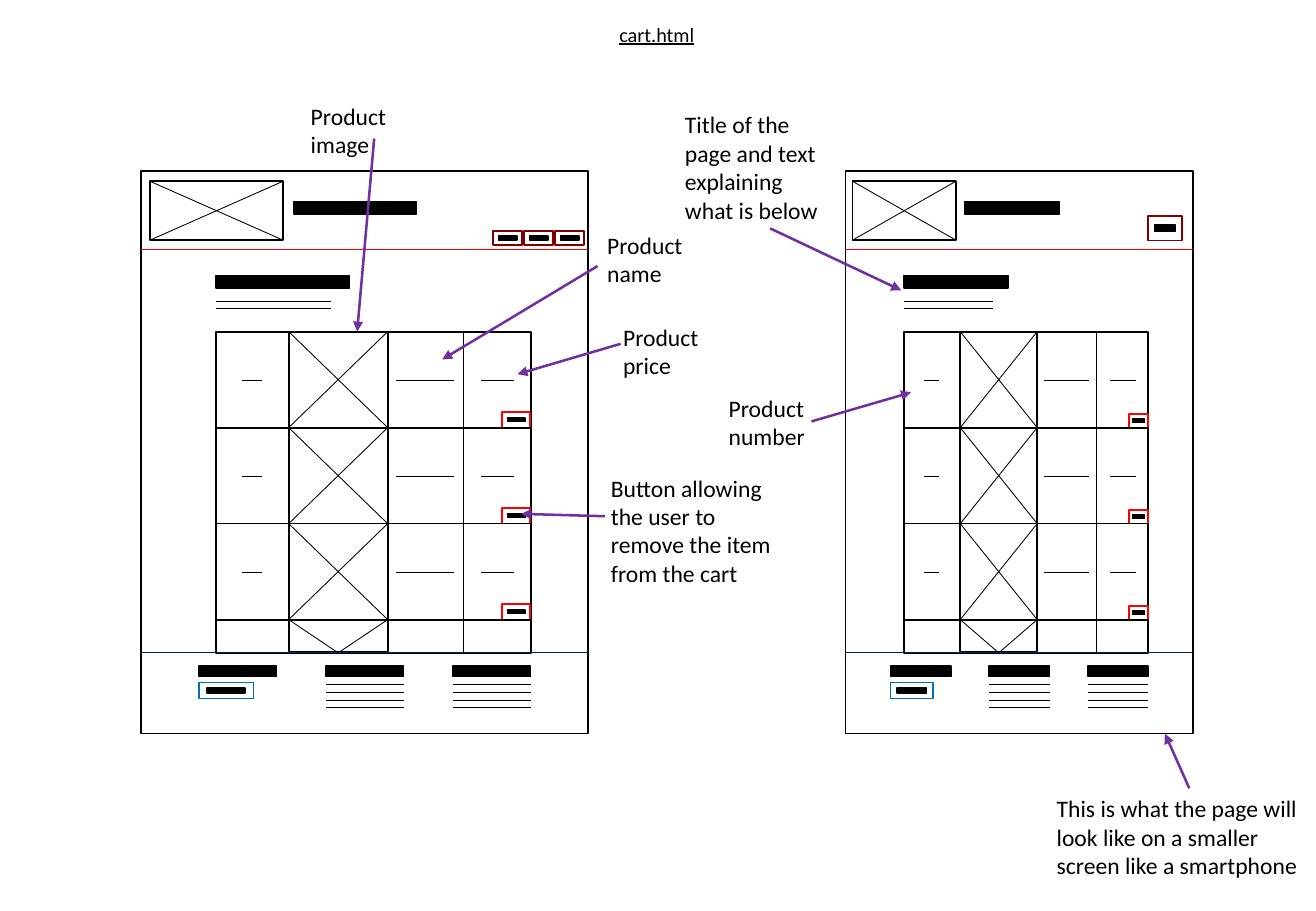
import dataclasses
import typing

import lxml.etree
import pptx
import pptx.dml.color
import pptx.enum.shapes
import pptx.enum.text
import pptx.oxml.ns
import pptx.util

Pt = pptx.util.Pt
COLOURS = {"ink": "000000", "header": "FF0000", "footer": "002060", "nav": "800000",
           "remove": "FF0000", "social": "0070C0", "arrow": "7030A0"}
FONT = "Calibri"
THIN, OUTLINE, ARROW = 0.5, 1, 1.5

# Vertical layout shared by both pages
PAGE_TOP, PAGE_HEIGHT = 101.5, 333.4
HEADER_RULE, FOOTER_RULE = 147.6, 387
LOGO_TOP, LOGO_HEIGHT = 107.5, 34.8
CART_TOP, ROW_HEIGHT, ROW_COUNT = 196.6, 56.9, 3
FOOTER_TOP = 394.6

# Horizontal layout, measured from the left edge of the wide page
WIDE_WIDTH = 265
CART_LEFT, CART_WIDTH = 44.6, 186.5
IMAGE_LEFT, IMAGE_WIDTH = 87.6, 58.7
PRICE_LEFT = 191.2
DASHES = [(60.1, 71.5), (151.2, 185.8), (201.6, 221.4)]
FOOTER_LEFT, FOOTER_PITCH, FOOTER_WIDTH = 34.4, 75.3, 46


@dataclasses.dataclass(frozen=True)
class Button:
    left: float
    top: float
    width: float
    height: float
    inset_x: float
    inset_y: float
    colour: str


@dataclasses.dataclass(frozen=True)
class Page:
    left: float
    width: float
    nav_buttons: list[Button]
    remove_button: Button

    def x(self, offset: float) -> float:
        return self.left + offset * self.width / WIDE_WIDTH


@dataclasses.dataclass(frozen=True)
class Note:
    text: str
    left: float
    top: float
    width: float
    height: float
    start: tuple[float, float]
    end: tuple[float, float]


def rgb(name: str) -> pptx.dml.color.RGBColor:
    return pptx.dml.color.RGBColor.from_string(COLOURS[name])


def draw_box(shapes: typing.Any, left: float, top: float, width: float, height: float,
             colour: str = "ink", filled: bool = False) -> None:
    box = shapes.add_shape(pptx.enum.shapes.MSO_SHAPE.RECTANGLE,
                           Pt(left), Pt(top), Pt(width), Pt(height))
    box.shadow.inherit = False
    if filled:
        box.fill.solid()
        box.fill.fore_color.rgb = rgb(colour)
    else:
        box.fill.background()
    box.line.color.rgb = rgb(colour)
    box.line.width = Pt(OUTLINE)


def draw_line(shapes: typing.Any, start: tuple[float, float], end: tuple[float, float],
              colour: str = "ink", weight: float = THIN, arrow: bool = False) -> None:
    line = shapes.add_connector(pptx.enum.shapes.MSO_CONNECTOR.STRAIGHT,
                                Pt(start[0]), Pt(start[1]), Pt(end[0]), Pt(end[1]))
    line.line.color.rgb = rgb(colour)
    line.line.width = Pt(weight)
    properties = line._element.spPr
    if arrow:
        outline = properties.find(pptx.oxml.ns.qn("a:ln"))
        lxml.etree.SubElement(outline, pptx.oxml.ns.qn("a:tailEnd"), type="triangle")
    lxml.etree.SubElement(properties, pptx.oxml.ns.qn("a:effectLst"))


def draw_crossed_box(shapes: typing.Any, left: float, top: float,
                     width: float, height: float) -> None:
    draw_box(shapes, left, top, width, height)
    draw_line(shapes, (left, top), (left + width, top + height))
    draw_line(shapes, (left, top + height), (left + width, top))


def draw_button(shapes: typing.Any, button: Button, drop: float = 0) -> None:
    top = button.top + drop
    draw_box(shapes, button.left, top, button.width, button.height, button.colour)
    draw_box(shapes, button.left + button.inset_x, top + button.inset_y,
             button.width - 2 * button.inset_x, button.height - 2 * button.inset_y,
             filled=True)


def draw_text(shapes: typing.Any, text: str, left: float, top: float, width: float,
              height: float, size: float = 14, underline: bool = False) -> None:
    frame = shapes.add_textbox(Pt(left), Pt(top), Pt(width), Pt(height)).text_frame
    frame.word_wrap = True
    frame.auto_size = pptx.enum.text.MSO_AUTO_SIZE.SHAPE_TO_FIT_TEXT
    run = frame.paragraphs[0].add_run()
    run.text = text
    run.font.name = FONT
    run.font.size = Pt(size)
    run.font.color.rgb = rgb("ink")
    if underline:
        run.font.underline = True


def draw_page(shapes: typing.Any, page: Page) -> None:
    x, scale = page.x, page.width / WIDE_WIDTH
    right = page.left + page.width
    image_left, image_width = x(IMAGE_LEFT), IMAGE_WIDTH * scale

    # Frame and header
    draw_box(shapes, page.left, PAGE_TOP, page.width, PAGE_HEIGHT)
    draw_line(shapes, (page.left, HEADER_RULE), (right, HEADER_RULE), "header")
    draw_crossed_box(shapes, x(5.5), LOGO_TOP, 78.7 * scale, LOGO_HEIGHT)
    draw_box(shapes, x(90.7), 119.5, 72.7 * scale, 7.2, filled=True)
    for button in page.nav_buttons:
        draw_button(shapes, button)

    # Page title and introduction
    draw_box(shapes, x(CART_LEFT), 163.4, 79.2 * scale, 7.2, filled=True)
    for y in (178.6, 182.9):
        draw_line(shapes, (x(CART_LEFT), y), (x(112.5), y))

    # Cart rows
    for row in range(ROW_COUNT):
        top = CART_TOP + row * ROW_HEIGHT
        draw_box(shapes, x(CART_LEFT), top, CART_WIDTH * scale, ROW_HEIGHT)
        draw_crossed_box(shapes, image_left, top, image_width, ROW_HEIGHT)
        draw_line(shapes, (x(PRICE_LEFT), top), (x(PRICE_LEFT), top + ROW_HEIGHT))
        for start, end in DASHES:
            draw_line(shapes, (x(start), top + 28.8), (x(end), top + 28.8))
        draw_button(shapes, page.remove_button, row * ROW_HEIGHT)

    # Row cut off by the footer
    top = CART_TOP + ROW_COUNT * ROW_HEIGHT
    draw_box(shapes, x(CART_LEFT), top, CART_WIDTH * scale, FOOTER_RULE - top)
    draw_box(shapes, image_left, top, image_width, FOOTER_RULE - top - 0.8)
    for corner in (image_left, image_left + image_width):
        draw_line(shapes, (corner, top), (image_left + image_width / 2, FOOTER_RULE))
    draw_line(shapes, (x(PRICE_LEFT), top), (x(PRICE_LEFT), FOOTER_RULE))

    # Footer
    draw_line(shapes, (page.left, FOOTER_RULE), (right, FOOTER_RULE), "footer")
    for column in range(3):
        left = x(FOOTER_LEFT + column * FOOTER_PITCH)
        width = FOOTER_WIDTH * scale
        draw_box(shapes, left, FOOTER_TOP, width, 6.5, filled=True)
        if column == 0:
            draw_button(shapes, Button(left, 404.6, 32.4 * scale, 9.4,
                                       5 * scale, 3.2, "social"))
            continue
        for item in range(4):
            y = 406 + 4.5 * item
            draw_line(shapes, (left, y), (left + width, y))


PAGES = [
    Page(83.5, WIDE_WIDTH,
         [Button(292.3 + 18.4 * i, 136.8, 17.3, 8.6, 3.2, 3.1, "nav") for i in range(3)],
         Button(297.7, 244.1, 16.6, 9.4, 3.2, 3.6, "remove")),
    Page(501.1, 205.9, [Button(680.4, 128.2, 20.2, 14.4, 3.9, 5.3, "nav")],
         Button(669.1, 245.5, 11.5, 7.9, 2.2, 2.9, "remove")),
]
NOTES = [
    Note("This is what the page will look like on a smaller screen like a smartphone",
         619.2, 467.3, 170.6, 58.3, (704.9, 467.3), (690.5, 434.9)),
    Note("Product price", 362.2, 187.9, 78.5, 41, (367.9, 203.8), (306.7, 221.8)),
    Note("Product name", 352.8, 133.2, 69.1, 41, (354.2, 157.7), (262.1, 213.1)),
    Note("Product image", 177.1, 56.9, 69.1, 41, (221.8, 82.1), (211.7, 196.6)),
    Note("Button allowing the user to remove the item from the cart",
         355, 277.2, 119.5, 74.9, (358.6, 306), (308.9, 304.6)),
    Note("Product number", 424.8, 229.7, 78.5, 41, (481, 249.8), (540, 232.6)),
    Note("Title of the page and text explaining what is below",
         398.9, 61.9, 100.1, 74.9, (456.5, 135.4), (534.2, 172.1)),
]

presentation = pptx.Presentation()
presentation.slide_width, presentation.slide_height = Pt(780), Pt(540)
slide = presentation.slides.add_slide(presentation.slide_layouts[6])

draw_text(slide.shapes, "cart.html", 360, 9.4, 60, 21.6, size=12, underline=True)
for wireframe in PAGES:
    draw_page(slide.shapes.add_group_shape().shapes, wireframe)
for note in NOTES:
    draw_line(slide.shapes, note.start, note.end, "arrow", ARROW, arrow=True)
    draw_text(slide.shapes, note.text, note.left, note.top, note.width, note.height)

presentation.save("out.pptx")
